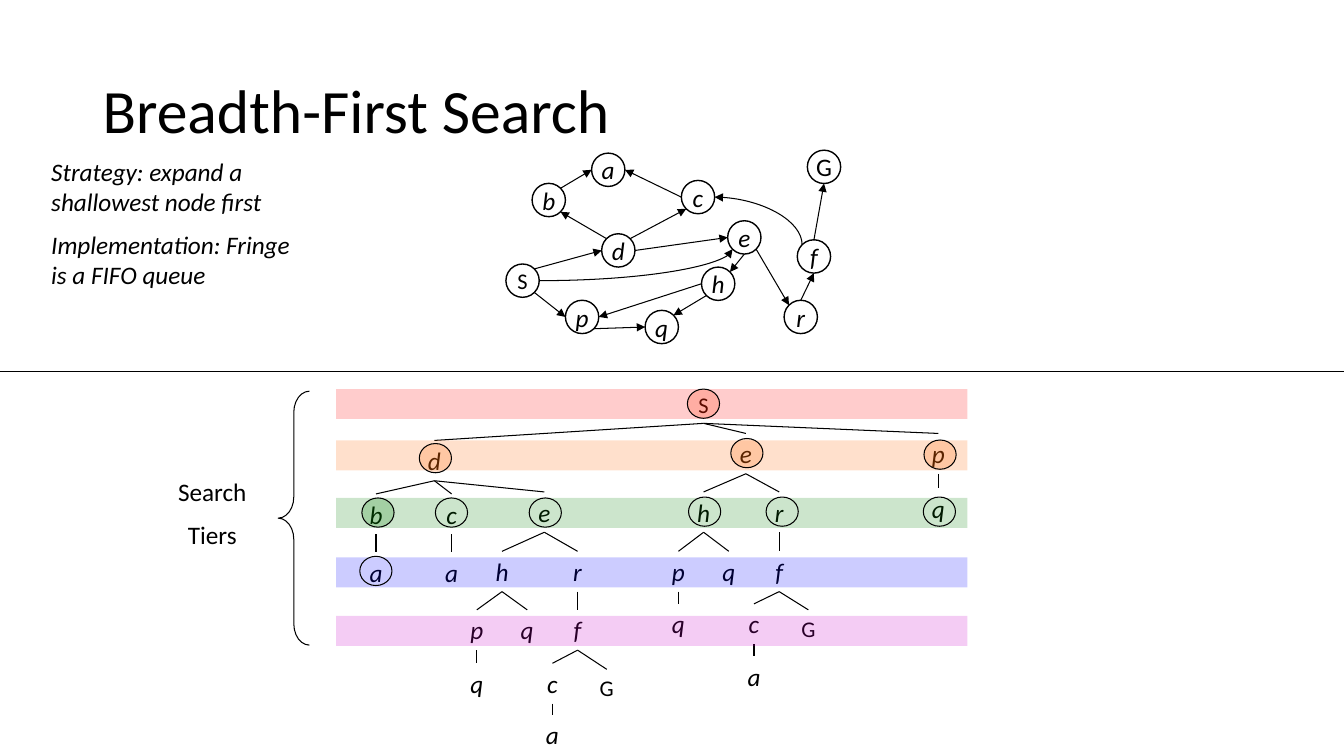
from dataclasses import dataclass
from math import sqrt

from pptx import Presentation
from pptx.dml.color import RGBColor
from pptx.enum.shapes import MSO_CONNECTOR as Link, MSO_SHAPE as Shape
from pptx.enum.text import MSO_ANCHOR as Anchor, PP_ALIGN as Align
from pptx.oxml.ns import qn
from pptx.util import Pt
from lxml.etree import SubElement


@dataclass(frozen=True)
class Theme:
    font: str = "Calibri"
    title: int = 44
    body: int = 18
    small: int = 16
    ink: str = "000000"
    start: str = "FF3300"
    tiers: tuple = ("FF0000", "FF6600", "008000", "0000FF", "CC00CC")
    tint: int = 20


T = Theme()
INK = RGBColor.from_string(T.ink)

prs = Presentation()
prs.slide_width, prs.slide_height = Pt(960), Pt(540)
s = prs.slides.add_slide(prs.slide_layouts[5])


def box(kind, x, y, w, h, lines=(), size=T.body, italic=False,
        align=Align.CENTER, fill=None, line=None):
    """Add a preset shape, or a text box when kind is None; fill is a tint."""
    place = Pt(x), Pt(y), Pt(w), Pt(h)
    if kind is None:
        sp = s.shapes.add_textbox(*place)
    else:
        sp = s.shapes.add_shape(kind, *place)
        sp.shadow.inherit = False
        if fill:
            sp.fill.solid()
            sp.fill.fore_color.rgb = RGBColor.from_string(fill)
            color = sp.fill._xPr.find(".//" + qn("a:srgbClr"))
            SubElement(color, qn("a:alpha"), val=str(T.tint * 1000))
        else:
            sp.fill.background()
        if line:
            sp.line.color.rgb, sp.line.width = INK, Pt(line)
        else:
            sp.line.fill.background()
    tf = sp.text_frame
    tf.word_wrap = kind is None
    for i, text in enumerate(lines):
        p = tf.paragraphs[0] if i == 0 else tf.add_paragraph()
        p.text, p.alignment = text, align
        p.space_before = Pt(size / 2 if i else 0)
        p.font.name, p.font.size, p.font.italic = T.font, Pt(size), italic
        p.font.color.rgb = INK
    return sp


def connect(start, end, arrow=None, kind=Link.STRAIGHT):
    """Join two points; arrow is headEnd (at start) or tailEnd (at end)."""
    c = s.shapes.add_connector(kind, *map(Pt, start + end))
    c.line.color.rgb, c.line.width = INK, Pt(0.75)
    if arrow:
        SubElement(c.line._get_or_add_ln(), qn("a:" + arrow), type="triangle")
    SubElement(c._element.spPr, qn("a:effectLst"))
    return c


title = s.shapes.title
title.left, title.top, title.width, title.height = Pt(66.2), Pt(28.8), Pt(828), Pt(104.4)
title.text_frame.text = "Breadth-First Search"
title.text_frame.vertical_anchor = Anchor.MIDDLE
p = title.text_frame.paragraphs[0]
p.alignment, p.line_spacing = Align.LEFT, 0.9
p.font.name, p.font.size, p.font.color.rgb = T.font, Pt(T.title), INK

# Search tree: label, centre x, top, index of the parent
tree = [
    ("S", 502.6, 275.8, None),
    ("d", 310.3, 314.6, 0), ("e", 532.8, 309.6, 0), ("p", 670.3, 309.6, 0),
    ("b", 268.6, 352.8, 1), ("c", 322.6, 352.8, 1), ("e", 388.8, 351.4, 1),
    ("h", 502.6, 351.4, 2), ("r", 556.6, 351.4, 2), ("q", 670.3, 348.5, 3),
    ("a", 268.6, 394.6, 4), ("a", 322.6, 394.6, 5),
    ("h", 358.6, 393.8, 6), ("r", 412.6, 393.8, 6),
    ("p", 484.6, 393.8, 7), ("q", 520.6, 393.8, 7), ("f", 556.6, 393.8, 8),
    ("p", 340.6, 435.6, 12), ("q", 376.6, 435.6, 12), ("f", 412.6, 435.6, 13),
    ("q", 484.6, 431.3, 14), ("c", 538.6, 431.3, 16), ("G", 577.4, 435.6, 16),
    ("q", 340.6, 473.8, 17), ("c", 394.6, 473.8, 19), ("G", 433.4, 478.1, 19),
    ("a", 538.6, 468.7, 21), ("a", 394.6, 510.5, 24),
]
for label, x, top, parent in tree:
    state = label.islower()
    box(None, x - 15, top, 30, 28.8 if state else 26.6, [label],
        T.body if state else T.small, state)
    if parent is not None:
        name, px, ptop, _ = tree[parent]
        connect((px, ptop + (28.8 if name.islower() else 26.6)), (x, top))

# State graph: node centres, and edges between compass points of the nodes
RADIUS = 11.9
nodes = {
    "S": (373.3, 200.5), "G": (588.6, 119.2), "d": (441.7, 178.9),
    "b": (392, 142.9), "p": (415.8, 226.4), "q": (472.7, 233.6),
    "c": (498.6, 140.8), "e": (531.7, 169.6), "h": (513, 202.7),
    "a": (434.5, 121.3), "f": (581.4, 183.2), "r": (572, 226.4),
}
for name, (x, y) in nodes.items():
    sp = box(Shape.FLOWCHART_CONNECTOR, x - RADIUS, y - RADIUS, 2 * RADIUS, 2 * RADIUS,
             [name], T.small if name == "S" else T.body, name.islower(), line=1)
    sp.text_frame.vertical_anchor = Anchor.MIDDLE

D = 1 / sqrt(2)
compass = {"N": (0, -1), "NE": (D, -D), "E": (1, 0), "SE": (D, D),
           "S": (0, 1), "SW": (-D, D), "W": (-1, 0), "NW": (-D, -D)}
straight, curved = Link.STRAIGHT, Link.CURVE
edges = [
    ("S SE p W", "tailEnd", straight), ("p SE q W", "tailEnd", straight),
    ("h SW q NE", "tailEnd", straight), ("h W p E", "tailEnd", straight),
    ("e S h NE", "tailEnd", straight), ("e SE r NW", "tailEnd", straight),
    ("r N f S", "tailEnd", straight), ("f N G S", "tailEnd", straight),
    ("S NE d W", "tailEnd", straight), ("d NW b SE", "tailEnd", straight),
    ("b NE a W", "tailEnd", straight), ("c W a E", "tailEnd", straight),
    ("d NE c SW", "tailEnd", straight), ("d E e W", "tailEnd", straight),
    ("c E f NW", "headEnd", curved), ("S E e SW", "tailEnd", curved),
]
for ends, arrow, kind in edges:
    a, a_side, b, b_side = ends.split()
    start, end = [tuple(c + RADIUS * d for c, d in zip(nodes[n], compass[side]))
                  for n, side in ((a, a_side), (b, b_side))]
    edge = connect(start, end, arrow, kind)
    if kind == curved:
        edge._element.spPr.find(qn("a:prstGeom")).set("prst", "curvedConnector2")

# Tiers, their brace and label
for color, top in zip(T.tiers, (277.9, 314.6, 355.7, 398.2, 439.9)):
    box(Shape.RECTANGLE, 240.1, top, 451, 21.4, fill=color)
brace = box(Shape.LEFT_BRACE, 198.7, 279.4, 22.3, 181.4, line=0.75)
brace.adjustments[0] = 0.68
box(None, 113.8, 337, 75.6, 61.9, ["Search", "Tiers"])

# Rings on reached states; expanded states are tinted
rings = [
    (491, 277.9, T.start),
    (299.5, 316.8, T.tiers[1]), (522, 313.2, T.tiers[1]), (660, 314.3, T.tiers[1]),
    (258.5, 355.7, T.tiers[2]), (311, 355.7, None), (378, 355.7, None),
    (491.8, 355, None), (547.2, 355, None), (659.5, 355, None), (257, 397.4, None),
]
for x, y, color in rings:
    box(Shape.OVAL, x, y, 23, 20.9, fill=color, line=0.75)

connect((0, 265.7), (960, 265.7))
box(None, 29.5, 108, 186.5, 105.1,
    ["Strategy: expand a shallowest node first",
     "Implementation: Fringe is a FIFO queue"],
    italic=True, align=Align.LEFT)

prs.save("out.pptx")
